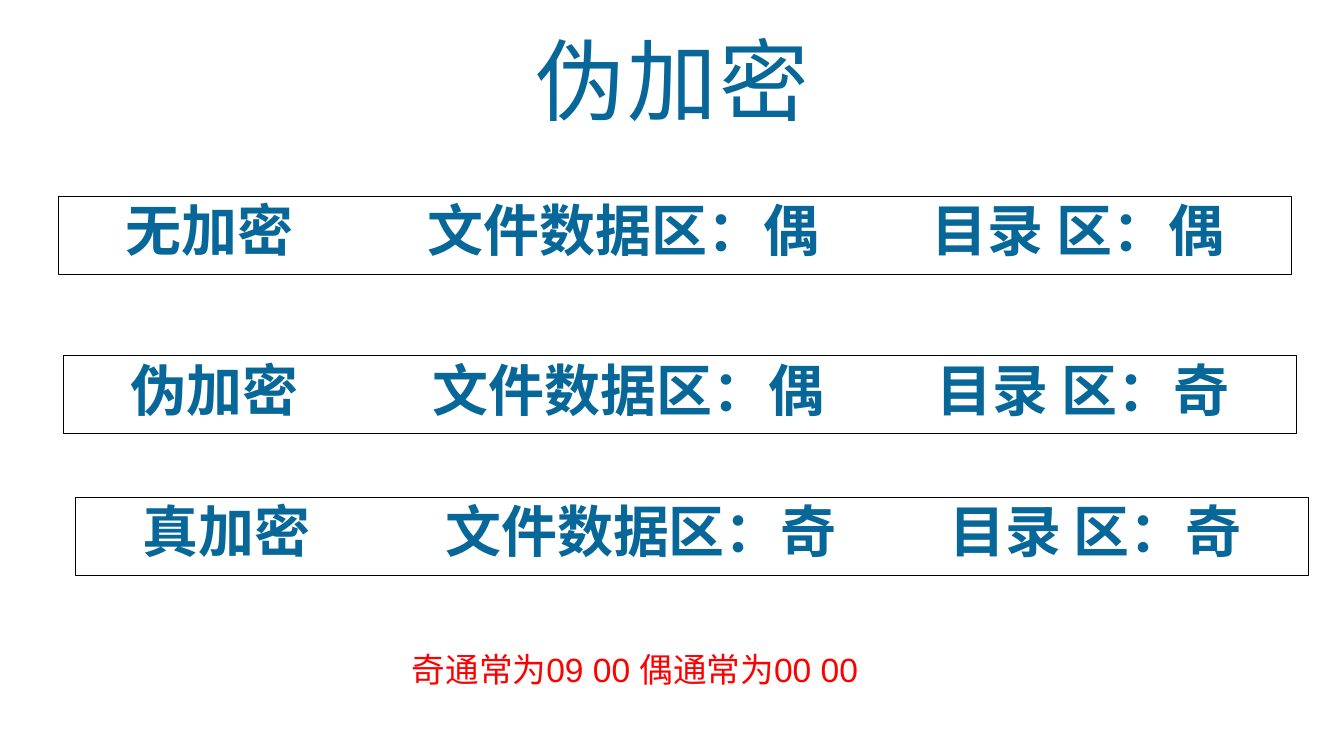
"""Build the slide on fake encryption and its flag values."""
import pptx
import pptx.dml.color
import pptx.enum.shapes
import pptx.enum.text
import pptx.util

Cm = pptx.util.Cm
Pt = pptx.util.Pt
Align = pptx.enum.text.PP_ALIGN
Anchor = pptx.enum.text.MSO_ANCHOR

theme = {
    "blue": pptx.dml.color.RGBColor.from_string("076798"),
    "red": pptx.dml.color.RGBColor.from_string("FF0000"),
    "black": pptx.dml.color.RGBColor.from_string("000000"),
    "head": Pt(64),
    "row": Pt(40),
    "note": Pt(24),
}


def write(shape, text, size, color, face, bold=False):
    """Put one styled line of text in a shape and return its paragraph."""
    frame = shape.text_frame
    frame.word_wrap = True
    frame.text = text
    line = frame.paragraphs[0]
    font = line.runs[0].font
    font.size, font.name, font.bold = theme[size], face, bold
    font.color.rgb = theme[color]
    return line


def center(shape, line):
    """Center a line at the top of its shape with tight leading."""
    frame = shape.text_frame
    frame.margin_left = frame.margin_right = Cm(0.33)
    frame.margin_top = frame.margin_bottom = Cm(0.18)
    frame.vertical_anchor = Anchor.TOP
    line.alignment = Align.CENTER
    line.line_spacing = 0.9
    line._p.get_or_add_pPr().set("defTabSz", str(Cm(2.54)))


deck = pptx.Presentation()
deck.slide_width, deck.slide_height = Cm(33.87), Cm(19.05)
slide = deck.slides.add_slide(deck.slide_layouts[6])
shapes = slide.shapes

title = shapes.add_textbox(Cm(1.7), Cm(0.76), Cm(30.48), Cm(3.18))
line = write(title, "伪加密", "head", "blue", "Arial")
center(title, line)
line.runs[0].font._element.set("spc", "200")

rows = [
    ("无加密", "偶", "偶", 1.47, 4.95),
    ("伪加密", "偶", "奇", 1.6, 8.96),
    ("真加密", "奇", "奇", 1.91, 12.53),
]
for kind, data, index, left, top in rows:
    box = shapes.add_shape(
        pptx.enum.shapes.MSO_SHAPE.RECTANGLE,
        Cm(left), Cm(top), Cm(31.07), Cm(1.96),
    )
    box.shadow.inherit = False
    box.fill.background()
    box.line.color.rgb = theme["black"]
    box.line.width = Pt(0.5)
    text = f"{kind}\t\t文件数据区：{data}\t\t目录 区：{index}"
    center(box, write(box, text, "row", "blue", "Calibri", True))

note = shapes.add_textbox(Cm(10.13), Cm(16.23), Cm(13.34), Cm(1.28))
write(note, "奇通常为09 00 偶通常为00 00", "note", "red", "Arial")
note.text_frame.auto_size = pptx.enum.text.MSO_AUTO_SIZE.SHAPE_TO_FIT_TEXT

deck.save("out.pptx")
